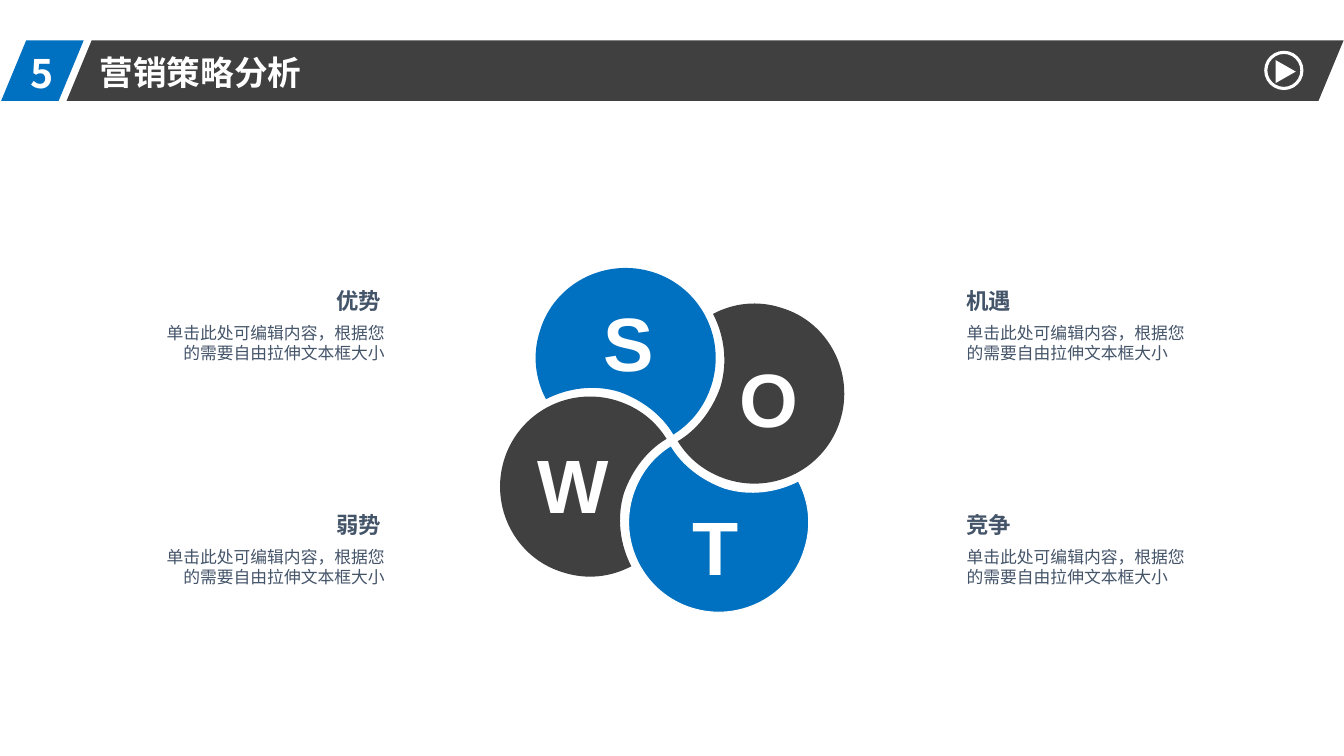
from dataclasses import dataclass

from lxml.etree import SubElement
from pptx import Presentation
from pptx.dml.color import RGBColor
from pptx.enum.shapes import MSO_SHAPE
from pptx.enum.text import MSO_ANCHOR, PP_ALIGN
from pptx.oxml.ns import qn
from pptx.shapes.autoshape import Shape
from pptx.slide import Slide
from pptx.util import Cm, Pt

BLUE = RGBColor(0x00, 0x70, 0xC0)
CHARCOAL = RGBColor(0x40, 0x40, 0x40)
SLATE = RGBColor(0x44, 0x54, 0x69)
WHITE = RGBColor(0xFF, 0xFF, 0xFF)
HEADER_FONT = "Noto Sans CJK SC"
BODY_FONT = "Arial"

# Petal outline around the flower centre, in cm: a start, then cubic curves
FLOWER_CENTRE = (16.94, 11.09)
PETAL_START = (-1.32, -1.21)
PETAL_CURVES = [
    (-0.74, -1.0), (-0.25, -0.62), (0.03, -0.14),
    (0.48, -0.42), (0.81, -0.83), (0.99, -1.38),
    (1.37, -2.58), (0.71, -3.85), (-0.48, -4.23),
    (-1.68, -4.61), (-2.97, -3.95), (-3.33, -2.76),
    (-3.53, -2.15), (-3.45, -1.54), (-3.18, -1.03),
    (-2.64, -1.31), (-1.96, -1.41), PETAL_START,
]
ADVICE = "单击此处可编辑内容，根据您的需要自由拉伸文本框大小"


@dataclass(frozen=True)
class Petal:
    letter: str
    quarter_turns: int
    color: RGBColor
    letter_left: float
    letter_top: float
    outlined: bool = False


@dataclass(frozen=True)
class Note:
    heading: str
    heading_left: float
    heading_width: float
    body_left: float
    top: float
    align: PP_ALIGN


@dataclass(frozen=True)
class TextStyle:
    size: int
    color: RGBColor
    font: str = BODY_FONT
    bold: bool = True
    align: PP_ALIGN = PP_ALIGN.LEFT


PETALS = [
    Petal("S", 0, BLUE, 14.33, 7.34),
    Petal("O", 1, CHARCOAL, 17.86, 8.74),
    Petal("T", 2, BLUE, 16.51, 12.47, outlined=True),
    Petal("W", 3, CHARCOAL, 12.93, 10.92),
]
UPPER, LOWER = 7.24, 12.88
NOTES = [
    Note("机遇", 24.36, 4.17, 24.36, UPPER, PP_ALIGN.LEFT),
    Note("优势", 6.05, 3.56, 4.06, UPPER, PP_ALIGN.RIGHT),
    Note("竞争", 24.36, 4.17, 24.36, LOWER, PP_ALIGN.LEFT),
    Note("弱势", 6.05, 3.56, 4.06, LOWER, PP_ALIGN.RIGHT),
]


def write(shape: Shape, text: str, style: TextStyle) -> None:
    frame = shape.text_frame
    frame.text = text
    frame.word_wrap = True
    frame.vertical_anchor = MSO_ANCHOR.TOP
    paragraph = frame.paragraphs[0]
    paragraph.alignment = style.align
    run = paragraph.runs[0]
    run.font.size = Pt(style.size)
    run.font.bold = style.bold
    run.font.color.rgb = style.color
    run.font.name = style.font
    SubElement(run.font._element, qn("a:ea")).set("typeface", style.font)


def add_text(slide: Slide, box: tuple[float, ...], text: str,
             style: TextStyle, inset: bool = True) -> None:
    label = slide.shapes.add_textbox(*map(Cm, box))
    write(label, text, style)
    if not inset:
        frame = label.text_frame
        frame.margin_left = frame.margin_right = 0
        frame.margin_top = frame.margin_bottom = 0


def paint(shape: Shape, fill: RGBColor | None,
          line: RGBColor | None = None, width: float = 0.75) -> None:
    shape.shadow.inherit = False
    if fill is None:
        shape.fill.background()
    else:
        shape.fill.solid()
        shape.fill.fore_color.rgb = fill
    if line is None:
        shape.line.fill.background()
    else:
        shape.line.color.rgb = line
        shape.line.width = Pt(width)


def add_preset(slide: Slide, preset: MSO_SHAPE, box: tuple[float, ...]) -> Shape:
    return slide.shapes.add_shape(preset, *map(Cm, box))


def turned(point: tuple[float, float], quarter_turns: int) -> tuple[int, int]:
    x, y = point
    for _ in range(quarter_turns):
        x, y = -y, x
    return Cm(FLOWER_CENTRE[0] + x), Cm(FLOWER_CENTRE[1] + y)


def add_petal(slide: Slide, petal: Petal) -> None:
    builder = slide.shapes.build_freeform(*turned(PETAL_START, petal.quarter_turns))
    builder.add_line_segments(
        [turned(point, petal.quarter_turns) for point in PETAL_CURVES], close=True)
    outline = builder.convert_to_shape()
    # Each three line ends become the points of one cubic curve
    segments = list(outline.element.iter(qn("a:lnTo")))
    for first in range(0, len(PETAL_CURVES), 3):
        curve = segments[first]
        bezier = curve.makeelement(qn("a:cubicBezTo"), {})
        curve.addprevious(bezier)
        for segment in segments[first:first + 3]:
            bezier.append(segment[0])
            segment.getparent().remove(segment)
    paint(outline, petal.color, WHITE if petal.outlined else None)


def add_header(slide: Slide) -> None:
    for left, width, color in ((1.68, 32.18, CHARCOAL), (0.03, 2.08, BLUE)):
        band = add_preset(slide, MSO_SHAPE.PARALLELOGRAM, (left, 1.02, width, 1.52))
        band.adjustments[0] = 0.415
        paint(band, color)
    add_text(slide, (0.51, 1.12, 1.75, 1.45), "5", TextStyle(28, WHITE, HEADER_FONT))

    title = slide.shapes.title
    title.left, title.top, title.width, title.height = map(Cm, (2.26, 1.17, 6.96, 1.3))
    write(title, "营销策略分析", TextStyle(24, WHITE, HEADER_FONT))
    title.element.getparent().append(title.element)  # in front of the bands

    # Play button
    ring = add_preset(slide, MSO_SHAPE.OVAL, (31.9, 1.32, 0.91, 0.91))
    paint(ring, None, WHITE, 2.25)
    arrow = add_preset(slide, MSO_SHAPE.ISOSCELES_TRIANGLE, (32.11, 1.55, 0.58, 0.51))
    arrow.rotation = 90
    paint(arrow, WHITE)


def add_note(slide: Slide, note: Note) -> None:
    add_text(slide, (note.heading_left, note.top, note.heading_width, 0.69),
             note.heading, TextStyle(16, SLATE, align=note.align), inset=False)
    add_text(slide, (note.body_left, note.top + 0.89, 5.64, 1.02), ADVICE,
             TextStyle(12, SLATE, bold=False, align=note.align), inset=False)


def main() -> None:
    deck = Presentation()
    deck.slide_width, deck.slide_height = Cm(33.87), Cm(19.05)
    slide = deck.slides.add_slide(deck.slide_layouts[5])

    add_header(slide)

    # SWOT flower
    for petal in PETALS:
        add_petal(slide, petal)
    for petal in PETALS:
        add_text(slide, (petal.letter_left, petal.letter_top, 3.05, 2.57),
                 petal.letter, TextStyle(54, WHITE, align=PP_ALIGN.CENTER))

    # Notes on both sides
    for note in NOTES:
        add_note(slide, note)

    deck.save("out.pptx")


if __name__ == "__main__":
    main()
